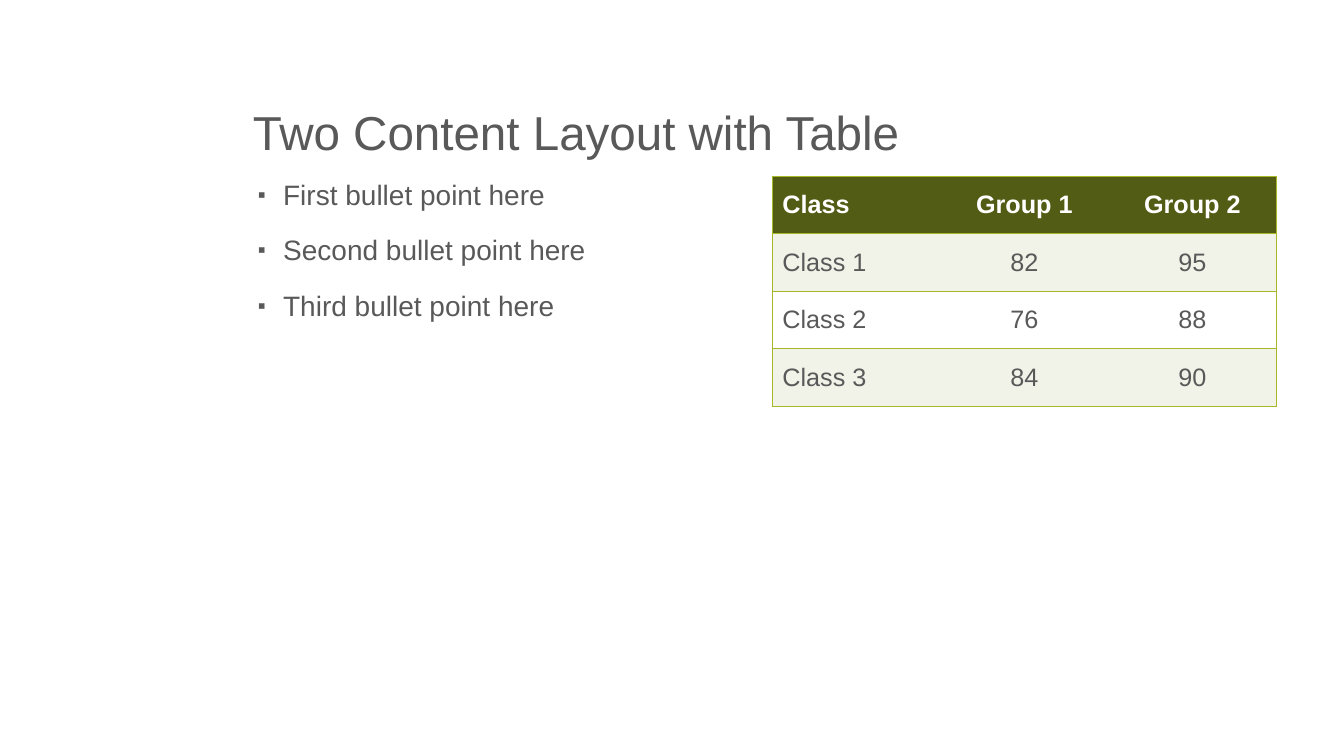
"""Build a slide with a title, three bullets and a table of class scores."""
from lxml import etree
from pptx import Presentation
from pptx.dml.color import RGBColor
from pptx.enum.text import MSO_ANCHOR, PP_ALIGN
from pptx.oxml.ns import qn
from pptx.util import Inches, Pt

BOTTOM, MIDDLE, TOP = MSO_ANCHOR.BOTTOM, MSO_ANCHOR.MIDDLE, MSO_ANCHOR.TOP
LEFT, CENTER = PP_ALIGN.LEFT, PP_ALIGN.CENTER

TITLE = "Two Content Layout with Table"
BULLETS = ["First bullet point here", "Second bullet point here", "Third bullet point here"]
ROWS = [
    ("Class", "Group 1", "Group 2"),
    ("Class 1", "82", "95"),
    ("Class 2", "76", "88"),
    ("Class 3", "84", "90"),
]
FONT = "Arial"
GRAY, WHITE, OLIVE, PALE, LIME = "595959", "FFFFFF", "535C14", "F1F3E8", "A6B727"
ROW_H = 0.57


def color(code):
    return RGBColor.from_string(code)


def style(para, size, code=GRAY, bold=False):
    font = para.font
    font.name, font.size, font.bold = FONT, Pt(size), bold
    font.color.rgb = color(code)


def add_text(slide, lines, box, size, anchor):
    frame = slide.shapes.add_textbox(*map(Inches, box)).text_frame
    frame.word_wrap = True
    frame.vertical_anchor = anchor
    frame.text = "\n".join(lines)
    for para in frame.paragraphs:
        para.line_spacing = 0.9
        style(para, size)
    return frame.paragraphs


def add_bullet(para):
    para.space_before = Pt(18)
    props = para._p.get_or_add_pPr()
    props.set("marL", str(Inches(0.3)))
    props.set("indent", str(Inches(-0.25)))
    last = props.find(qn("a:defRPr"))
    for tag, key, value in (
        ("a:buSzPct", "val", "80000"),
        ("a:buFont", "typeface", FONT),
        ("a:buChar", "char", "▪"),
    ):
        node = etree.Element(qn(tag))
        node.set(key, value)
        last.addprevious(node)


def add_border(cell, side, shown):
    line = etree.SubElement(cell._tc.get_or_add_tcPr(), qn("a:ln" + side), w=str(Pt(1)))
    if shown:
        fill = etree.SubElement(line, qn("a:solidFill"))
        etree.SubElement(fill, qn("a:srgbClr"), val=LIME)
    else:
        etree.SubElement(line, qn("a:noFill"))


def add_scores(slide):
    rows, cols = len(ROWS), len(ROWS[0])
    box = map(Inches, (7.66, 1.75, 5, ROW_H * rows))
    table = slide.shapes.add_table(rows, cols, *box).table
    for row in table.rows:
        row.height = Inches(ROW_H)
    for r, values in enumerate(ROWS):
        for c, value in enumerate(values):
            cell = table.cell(r, c)
            cell.text = value
            cell.vertical_anchor = MIDDLE
            edges = {"L": c == 0, "R": c == cols - 1, "T": True, "B": True}
            for side, shown in edges.items():
                add_border(cell, side, shown)
            cell.fill.solid()
            cell.fill.fore_color.rgb = color(OLIVE if r == 0 else PALE if r % 2 else WHITE)
            para = cell.text_frame.paragraphs[0]
            para.alignment = CENTER if c else LEFT
            style(para, 18, GRAY if r else WHITE, r == 0)


def main():
    deck = Presentation()
    deck.slide_width, deck.slide_height = Inches(13.33), Inches(7.5)
    slide = deck.slides.add_slide(deck.slide_layouts[6])
    add_text(slide, [TITLE], (2.41, 0.33, 10.25, 1.31), 34, BOTTOM)
    for para in add_text(slide, BULLETS, (2.41, 1.75, 5, 4.5), 20, TOP):
        add_bullet(para)
    add_scores(slide)
    deck.save("out.pptx")


if __name__ == "__main__":
    main()
